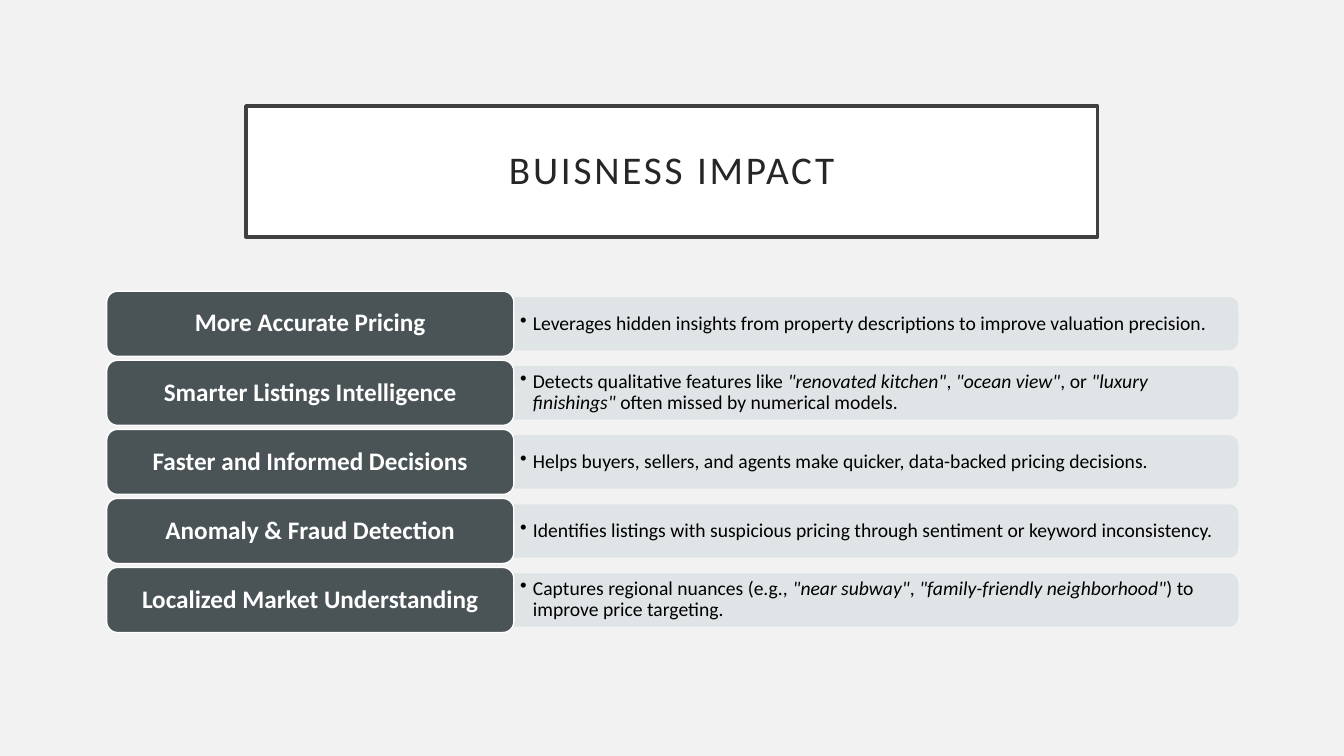
from pptx import Presentation
from pptx import util as u
from pptx.dml.color import RGBColor
from pptx.enum import shapes, text
from pptx.oxml import ns
from lxml import etree

KIND = shapes.MSO_SHAPE
MID = text.PP_ALIGN.CENTER

ROWS = [
    ("More Accurate Pricing",
     'Leverages hidden insights from property descriptions to improve valuation precision.'),
    ("Smarter Listings Intelligence",
     'Detects qualitative features like "renovated kitchen", "ocean view", or '
     '"luxury finishings" often missed by numerical models.'),
    ("Faster and Informed Decisions",
     'Helps buyers, sellers, and agents make quicker, data-backed pricing decisions.'),
    ("Anomaly & Fraud Detection",
     'Identifies listings with suspicious pricing through sentiment or keyword inconsistency.'),
    ("Localized Market Understanding",
     'Captures regional nuances (e.g., "near subway", "family-friendly neighborhood") '
     'to improve price targeting.'),
]


def color(code):
    return RGBColor.from_string(code)


def put(item, vals):
    for name, val in vals.items():
        setattr(item, name, val)


class Deck:
    face = "Calibri"
    dark, pale, white, ink = "4A5356", "DEE3E5", "FFFFFF", "000000"

    def __init__(self):
        self.file = Presentation()
        put(self.file, {"slide_width": u.Cm(33.87), "slide_height": u.Cm(19.05)})
        self.slide = self.file.slides.add_slide(self.file.slide_layouts[6])
        self.back("F2F2F2")

    def back(self, code):
        fill = self.slide.background.fill
        fill.solid()
        fill.fore_color.rgb = color(code)

    def shape(self, kind, box, fill, line, width=1):
        item = self.slide.shapes.add_shape(kind, *map(u.Cm, box))
        item.shadow.inherit = False
        item.fill.solid()
        item.fill.fore_color.rgb = color(fill)
        item.line.color.rgb = color(line)
        item.line.width = u.Pt(width)
        return item

    def words(self, item, line, size, code, pad, bold=False, align=None):
        """Fill a shape with one paragraph; quoted phrases turn italic."""
        side, edge = map(u.Cm, pad)
        put(item.text_frame, {
            "word_wrap": True, "vertical_anchor": text.MSO_ANCHOR.MIDDLE,
            "margin_left": side, "margin_right": side,
            "margin_top": edge, "margin_bottom": edge})
        para = item.text_frame.paragraphs[0]
        put(para, {"alignment": align, "line_spacing": 0.9})
        for n, part in enumerate(line.split('"')):
            quote = n % 2 == 1
            run = para.add_run()
            run.text = f'"{part}"' if quote else part
            put(run.font, {"name": self.face, "size": u.Pt(size),
                           "bold": bold, "italic": quote})
            run.font.color.rgb = color(code)
        return para

    def title(self, line, box):
        item = self.shape(KIND.RECTANGLE, box, self.white, "404040", 2.5)
        para = self.words(item, line, 28, "262626", (0.51, 0.51), align=MID)
        para.runs[0].font._element.set("spc", "200")

    def band(self, left, mid, width, height):
        # Turned a quarter so that the rounded corners face right
        box = (left + (width - height) / 2, mid - width / 2, height, width)
        item = self.shape(KIND.ROUND_2_SAME_RECTANGLE, box, self.pale, self.pale)
        item.rotation = 90
        for tint in item._element.spPr.iter(ns.qn("a:srgbClr")):
            etree.SubElement(tint, ns.qn("a:alpha"), val="90000")

    def point(self, line, box):
        item = self.slide.shapes.add_textbox(*map(u.Cm, box))
        para = self.words(item, line, 14, self.ink, (0.16, 0.08),
                          align=text.PP_ALIGN.LEFT)
        para.level = 1
        props = para._p.get_or_add_pPr()
        dent = u.Cm(0.32)
        props.set("marL", str(dent))
        props.set("indent", str(-dent))
        etree.SubElement(props, ns.qn("a:buChar"), char="•")

    def label(self, line, box):
        item = self.shape(KIND.ROUNDED_RECTANGLE, box, self.dark, self.white)
        self.words(item, line, 18, self.white, (0.26, 0.18), True, MID)


def main():
    deck = Deck()

    # Heading
    deck.title("BUISNESS IMPACT", (6.2, 2.67, 21.46, 3.3))

    # Rows: a label on the left, a band with its point on the right
    left, split, first, step = 2.69, 12.95, 8.16, 1.74
    tall, thin, slim = 1.64, 1.31, 1.19
    for n, (name, note) in enumerate(ROWS):
        mid = first + n * step
        deck.band(split, mid, 18.24, thin)
        deck.point(note, (split, mid - slim / 2, 18.18, slim))
        deck.label(name, (left, mid - tall / 2, split - left, tall))

    deck.file.save("out.pptx")


if __name__ == "__main__":
    main()
